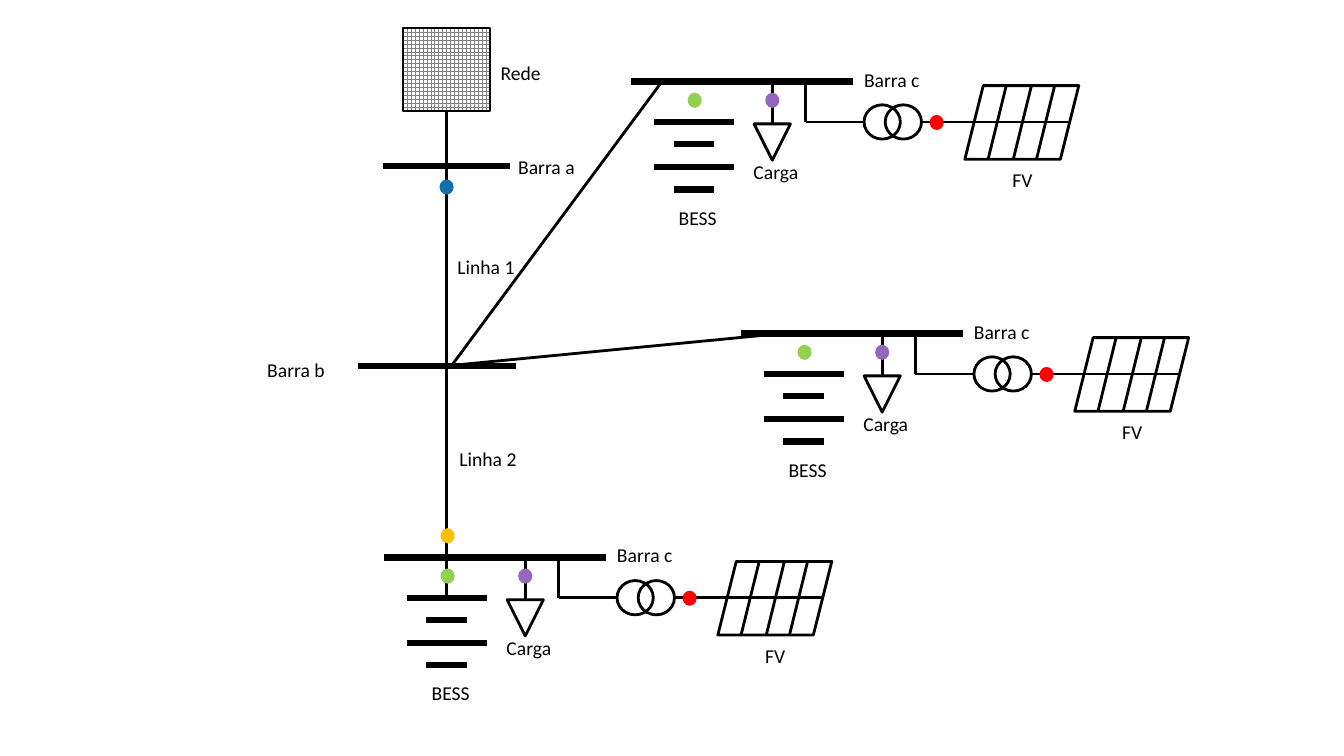
from dataclasses import dataclass

from lxml.etree import SubElement
from pptx import Presentation
from pptx.dml.color import RGBColor
from pptx.enum.dml import MSO_PATTERN as Pattern
from pptx.enum.shapes import MSO_CONNECTOR as Link
from pptx.enum.shapes import MSO_SHAPE as Shape
from pptx.enum.text import MSO_AUTO_SIZE as Fit
from pptx.enum.text import PP_ALIGN as Align
from pptx.oxml.ns import qn
from pptx.shapes.autoshape import Shape as Form
from pptx.shapes.connector import Connector
from pptx.util import Emu, Pt

SCALE = 9144  # EMU in one px, 100 px to the inch
COLORS = {
    "ink": "000000", "paper": "FFFFFF", "grid": "808080", "blue": "126FB0",
    "red": "FF0000", "green": "92D050", "purple": "9467BD", "amber": "FFC000",
}
THIN, BUS = 2, 4.5


@dataclass(frozen=True)
class Label:
    text: str
    x: int
    y: int
    width: int
    align: Align = Align.CENTER


@dataclass(frozen=True)
class Dot:
    color: str
    x: int
    y: int


@dataclass(frozen=True)
class Wire:
    x1: int
    y1: int
    x2: int
    y2: int
    weight: float = THIN


@dataclass(frozen=True)
class Origin:
    """Left end of a feeder's bus."""
    x: int
    y: int


TRUNK_LABELS = [
    Label("Rede", 486, 56, 61),
    Label("Barra a", 503, 149, 77, Align.RIGHT),
    Label("Linha 1", 443, 248, 78),
    Label("Barra b", 254, 350, 78, Align.RIGHT),
    Label("Linha 2", 445, 438, 78),
]
TRUNK_DOTS = [Dot("blue", 436, 178), Dot("amber", 437, 524)]
TRUNK_WIRES = [
    Wire(380, 165, 506, 165, BUS),
    Wire(355, 363, 512, 363, BUS),
    Wire(443, 363, 764, 332),
    Wire(447, 364, 655, 83),
]

# Feeder parts are placed from the left end of its bus.
FEEDERS = [Origin(381, 553), Origin(735, 331), Origin(626, 81)]
FEEDER_WIRES = [
    Wire(0, 0, 220, 0, BUS),
    Wire(140, -1, 140, 42),
    Wire(173, 0, 173, 40),
    Wire(173, 40, 231, 40),
    Wire(288, 40, 346, 40),
]
FEEDER_LABELS = [
    Label("Carga", 111, 73, 65),
    Label("BESS", 37, 118, 58),
    Label("FV", 368, 81, 40),
    Label("Barra c", 220, -19, 76, Align.RIGHT),
]
FEEDER_DOTS = [Dot("red", 296, 33), Dot("green", 56, 11), Dot("purple", 133, 11)]


def px(count: int) -> Emu:
    return Emu(count * SCALE)


def rgb(name: str) -> RGBColor:
    return RGBColor.from_string(COLORS[name])


def add_wire(shapes, wire: Wire, at: Origin = Origin(0, 0)) -> Connector:
    line = shapes.add_connector(
        Link.STRAIGHT, px(at.x + wire.x1), px(at.y + wire.y1),
        px(at.x + wire.x2), px(at.y + wire.y2))
    line.line.color.rgb = rgb("ink")
    line.line.width = Pt(wire.weight)
    SubElement(line._element.spPr, qn("a:effectLst"))
    return line


def add_form(shapes, kind: Shape, x: int, y: int, width: int, height: int,
             fill: str = "", weight: float = THIN) -> Form:
    """Draw a filled shape without a line, or an outlined one without a fill."""
    form = shapes.add_shape(kind, px(x), px(y), px(width), px(height))
    form.shadow.inherit = False
    if fill:
        form.fill.solid()
        form.fill.fore_color.rgb = rgb(fill)
        form.line.fill.background()
    else:
        form.fill.background()
        form.line.color.rgb = rgb("ink")
        form.line.width = Pt(weight)
    return form


def add_text(shapes, text: str, *, x: int, y: int, width: int, align: Align,
             height: int = 34, size: int = 14, color: str = "ink") -> None:
    box = shapes.add_textbox(px(x), px(y), px(width), px(height))
    frame = box.text_frame
    frame.word_wrap = False
    frame.auto_size = Fit.SHAPE_TO_FIT_TEXT
    line = frame.paragraphs[0]
    line.alignment = align
    run = line.add_run()
    run.text = text
    run.font.name = "Calibri"
    run.font.size = Pt(size)
    run.font.color.rgb = rgb(color)


def add_marks(shapes, labels: list[Label], dots: list[Dot],
              at: Origin = Origin(0, 0)) -> None:
    """Draw labels and measuring points."""
    for label in labels:
        add_text(shapes, label.text, x=at.x + label.x, y=at.y + label.y,
                 width=label.width, align=label.align)
    for dot in dots:
        add_form(shapes, Shape.OVAL, at.x + dot.x, at.y + dot.y, 14, 15, dot.color)


def add_panel(shapes, at: Origin) -> None:
    """Draw the solar panel with its cell lines."""
    group = shapes.add_group_shape().shapes
    add_form(group, Shape.PARALLELOGRAM, at.x + 331, at.y + 4, 113, 73)
    for top in (372, 397, 420):
        add_wire(group, Wire(top, 4, top - 18, 77), at)
    add_wire(group, Wire(340, 40, 435, 40), at)


def add_battery(shapes, at: Origin) -> None:
    group = shapes.add_group_shape().shapes
    for y in (40, 85):
        add_wire(group, Wire(23, y, 102, y, BUS), at)
        add_wire(group, Wire(42, y + 22, 82, y + 22, BUS), at)


def add_feeder(shapes, at: Origin) -> None:
    add_panel(shapes, at)
    add_battery(shapes, at)
    for wire in FEEDER_WIRES:
        add_wire(shapes, wire, at)
    load = add_form(shapes, Shape.ISOSCELES_TRIANGLE, at.x + 122, at.y + 42, 36, 36)
    load._element.spPr.get_or_add_xfrm().set("flipV", "1")
    coils = shapes.add_group_shape().shapes
    for x in (231, 252):
        add_form(coils, Shape.OVAL, at.x + x, at.y + 23, 36, 34)
    add_marks(shapes, FEEDER_LABELS, FEEDER_DOTS, at)


def add_trunk(shapes) -> None:
    """Draw the grid source, the main line and what hangs on it."""
    source = add_form(shapes, Shape.RECTANGLE, 400, 28, 86, 82, weight=1.5)
    source.fill.patterned()
    source.fill.pattern = Pattern.LARGE_GRID
    source.fill.fore_color.rgb = rgb("grid")
    source.fill.back_color.rgb = rgb("paper")
    main_line = add_wire(shapes, Wire(443, 110, 443, 595))
    main_line.begin_connect(source, 2)
    for wire in TRUNK_WIRES:
        add_wire(shapes, wire)
    add_marks(shapes, TRUNK_LABELS, TRUNK_DOTS)


def main() -> None:
    deck = Presentation()
    deck.slide_width, deck.slide_height = px(1333), px(750)
    shapes = deck.slides.add_slide(deck.slide_layouts[6]).shapes
    add_trunk(shapes)
    for origin in FEEDERS:
        add_feeder(shapes, origin)
    deck.save("out.pptx")


if __name__ == "__main__":
    main()
